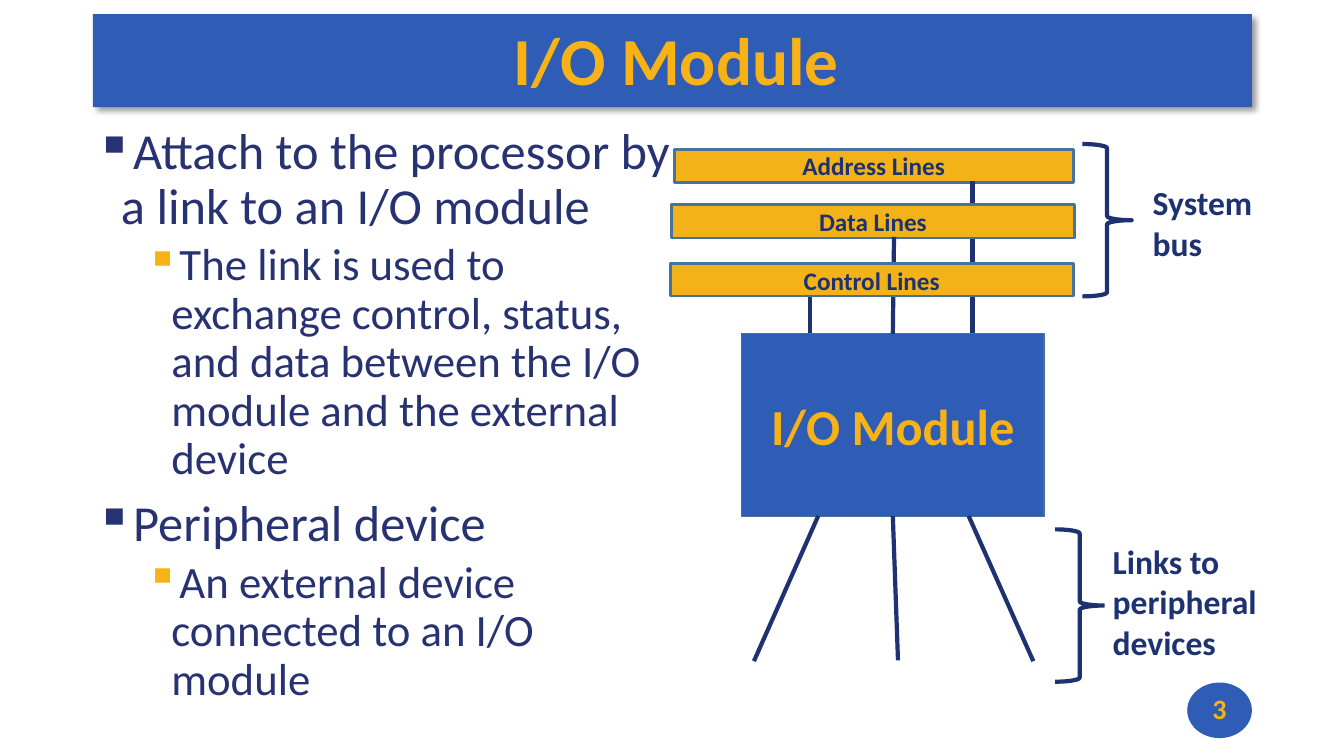
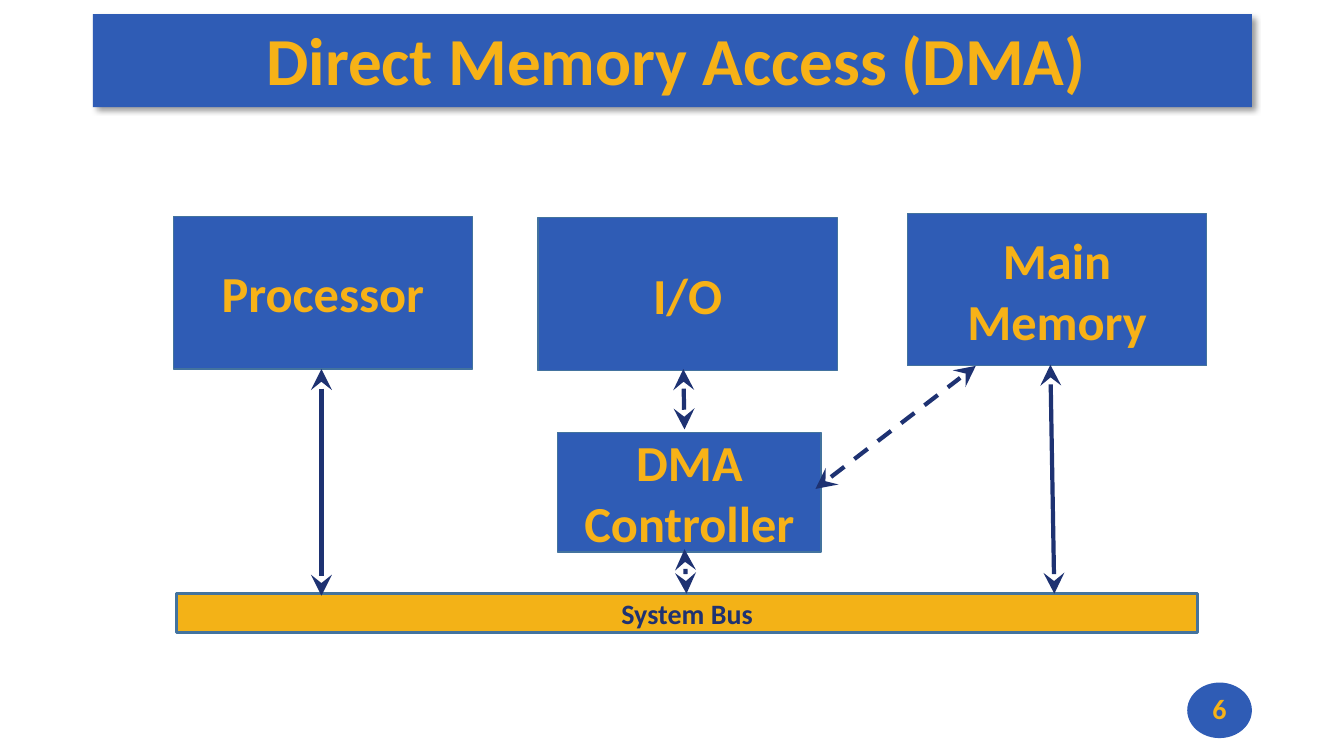
"""Build two slides on the I/O module and direct memory access."""
from dataclasses import dataclass

from lxml.etree import SubElement
from pptx import Presentation
from pptx.dml.color import RGBColor as Rgb
from pptx.enum.dml import MSO_LINE as Dash
from pptx.enum.shapes import MSO_CONNECTOR as Link, MSO_SHAPE as Preset
from pptx.enum.text import MSO_ANCHOR as Anchor, PP_ALIGN as Align
from pptx.oxml.ns import qn
from pptx.util import Cm, Pt

COLORS = {
    "blue": "2F5CB5",
    "gold": "F7B217",
    "bar": "F3B217",
    "navy": "1E3272",
    "body": "273272",
    "edge": "43739E",
    "white": "FFFFFF",
    "shadow": "000000",
}
FONT = "Calibri"
DEFAULT_INSETS = (0.25, 0.13, 0.25, 0.13)
LABEL_INSETS = (0.2, 0.08, 0, 0.08)


@dataclass(frozen=True)
class Frame:
    left: float
    top: float
    width: float
    height: float

    def lengths(self):
        return [Cm(side) for side in (self.left, self.top, self.width, self.height)]


@dataclass(frozen=True)
class Block:
    frame: Frame
    lines: tuple[str, ...]


@dataclass(frozen=True)
class Stroke:
    start: tuple[float, float]
    end: tuple[float, float]
    dashed: bool = False


@dataclass(frozen=True)
class Bullet:
    text: str
    level: int = 0


@dataclass(frozen=True)
class BulletStyle:
    size: int
    indent: float
    before: int
    marker: str


BULLET_STYLES = (BulletStyle(36, 0.64, 10, "body"), BulletStyle(32, 1.91, 5, "gold"))


def rgb(name: str) -> Rgb:
    return Rgb.from_string(COLORS[name])


def write_text(box, lines, *, size=36, color="gold", bold=True, align=Align.CENTER,
               anchor=Anchor.MIDDLE, insets=DEFAULT_INSETS) -> None:
    frame = box.text_frame
    frame.word_wrap = True
    frame.vertical_anchor = anchor
    frame.margin_left, frame.margin_top, frame.margin_right, frame.margin_bottom = map(Cm, insets)
    for index, line in enumerate(lines):
        para = frame.add_paragraph() if index else frame.paragraphs[0]
        para.text = line
        para.alignment = align
        for span in para.runs:
            span.font.name = FONT
            span.font.size = Pt(size)
            span.font.bold = bold
            span.font.color.rgb = rgb(color)


def add_box(page, frame: Frame, *, preset=Preset.RECTANGLE, fill=None, line=None, weight=0.85):
    box = page.shapes.add_shape(preset, *frame.lengths())
    box.shadow.inherit = False
    if fill:
        box.fill.solid()
        box.fill.fore_color.rgb = rgb(fill)
    else:
        box.fill.background()
    if line:
        box.line.color.rgb = rgb(line)
        box.line.width = Pt(weight)
    else:
        box.line.fill.background()
    return box


def add_shadow(box) -> None:
    effects = box.element.spPr.find(qn("a:effectLst"))
    shadow = SubElement(effects, qn("a:outerShdw"), blurRad="50800", dist="38100",
                        dir="2700000", algn="tl", rotWithShape="0")
    color = SubElement(shadow, qn("a:srgbClr"), val=COLORS["shadow"])
    SubElement(color, qn("a:alpha"), val="40000")


def add_unit(page, unit: Block) -> None:
    write_text(add_box(page, unit.frame, fill="blue", line="edge"), unit.lines)


def add_bar(page, bar: Block, size: int) -> None:
    box = add_box(page, bar.frame, fill="bar", line="edge", weight=2)
    write_text(box, bar.lines, size=size, color="navy")


def add_bracket(page, frame: Frame, label: Block) -> None:
    add_box(page, frame, preset=Preset.RIGHT_BRACE, line="navy", weight=3)
    box = add_box(page, label.frame, fill="white")
    write_text(box, label.lines, size=24, color="navy", align=Align.LEFT, insets=LABEL_INSETS)


def add_stroke(page, stroke: Stroke, arrows: bool = False) -> None:
    link = page.shapes.add_connector(
        Link.STRAIGHT, *(Cm(value) for value in stroke.start + stroke.end))
    link.line.color.rgb = rgb("navy")
    link.line.width = Pt(3)
    if stroke.dashed:
        link.line.dash_style = Dash.DASH
    properties = link.element.spPr
    if arrows:
        outline = properties.find(qn("a:ln"))
        for end in ("a:headEnd", "a:tailEnd"):
            SubElement(outline, qn(end), type="stealth", w="lg", len="lg")
    SubElement(properties, qn("a:effectLst"))


def add_bullets(page, frame: Frame, bullets: tuple[Bullet, ...]) -> None:
    box = page.shapes.add_textbox(*frame.lengths())
    write_text(box, [bullet.text for bullet in bullets], color="body", bold=False,
               align=Align.LEFT, anchor=Anchor.TOP)
    for para, bullet in zip(box.text_frame.paragraphs, bullets):
        style = BULLET_STYLES[bullet.level]
        para.level = bullet.level
        para.line_spacing = 0.9
        para.space_before = Pt(style.before)
        para.runs[0].font.size = Pt(style.size)
        properties = para._p.get_or_add_pPr()
        properties.set("marL", str(Cm(style.indent)))
        properties.set("indent", str(-Cm(0.64)))
        marker = SubElement(properties, qn("a:buClr"))
        SubElement(marker, qn("a:srgbClr"), val=COLORS[style.marker])
        SubElement(properties, qn("a:buChar"), char="▪")


def add_page(deck, title: str, number: int):
    page = deck.slides.add_slide(deck.slide_layouts[6])
    band = add_box(page, Frame(2.34, 0.36, 29.21, 2.34), fill="blue")
    add_shadow(band)
    write_text(band, [title], size=48, insets=(0.2, 0.08, 0, 0.18))
    badge = add_box(page, Frame(29.92, 17.2, 1.63, 1.4), preset=Preset.OVAL, fill="blue")
    write_text(badge, [str(number)], size=20, insets=(0, 0, 0, 0.08))
    return page


def build_module_page(deck) -> None:
    page = add_page(deck, "I/O Module", 3)
    add_unit(page, Block(Frame(18.69, 8.41, 7.62, 4.6), ("I/O Module",)))
    bus_lines = (
        (Block(Frame(16.99, 3.76, 10.06, 0.84), ("Address Lines",)),
         Stroke((24.51, 8.38), (24.51, 4.57))),
        (Block(Frame(16.92, 5.16, 10.16, 0.84), ("Data Lines",)),
         Stroke((22.5, 8.41), (22.53, 5.97))),
        (Block(Frame(16.89, 6.65, 10.16, 0.81), ("Control Lines",)),
         Stroke((20.42, 8.38), (20.42, 7.49))),
    )
    for bar, drop in bus_lines:
        add_bar(page, bar, 18)
        add_stroke(page, drop)
    peripheral_links = (
        Stroke((20.62, 13), (19, 16.66)),
        Stroke((22.5, 13), (22.63, 16.64)),
        Stroke((24.41, 13), (26.04, 16.66)),
    )
    for stroke in peripheral_links:
        add_stroke(page, stroke)
    add_bracket(page, Frame(27.28, 3.63, 1.24, 3.84),
                Block(Frame(28.85, 4.83, 2.87, 1.55), ("System\vbus",)))
    add_bracket(page, Frame(26.59, 13.34, 1.24, 3.84),
                Block(Frame(27.84, 13.77, 4.52, 2.77), ("Links to peripheral", "devices")))
    add_bullets(page, Frame(2.16, 3.05, 15.01, 15.37), (
        Bullet("Attach to the processor by a link to an I/O module"),
        Bullet("The link is used to exchange control, status, and data between "
               "the I/O module and the external device", 1),
        Bullet("Peripheral device"),
        Bullet("An external device connected to an I/O module", 1),
    ))


def build_memory_page(deck) -> None:
    page = add_page(deck, "Direct Memory Access (DMA)", 6)
    units = (
        Block(Frame(4.37, 5.46, 7.54, 3.84), ("Processor",)),
        Block(Frame(13.56, 5.49, 7.54, 3.84), ("I/O",)),
        Block(Frame(22.87, 5.38, 7.54, 3.84), ("Main Memory",)),
        Block(Frame(14.06, 10.89, 6.63, 3.02), ("DMA", "Controller")),
    )
    for unit in units:
        add_unit(page, unit)
    add_bar(page, Block(Frame(4.45, 14.96, 25.73, 0.99), ("System Bus",)), 20)
    transfers = (
        Stroke((8.1, 9.3), (8.1, 15.01)),
        Stroke((17.25, 10.82), (17.22, 9.3)),
        Stroke((26.57, 14.96), (26.47, 9.19)),
        Stroke((17.3, 14.96), (17.25, 13.84)),
        Stroke((20.55, 12.32), (24.59, 9.22), dashed=True),
    )
    for transfer in transfers:
        add_stroke(page, transfer, arrows=True)


def main() -> None:
    deck = Presentation()
    deck.slide_width, deck.slide_height = Cm(33.87), Cm(19.05)
    build_module_page(deck)
    build_memory_page(deck)
    deck.save("out.pptx")


main()
